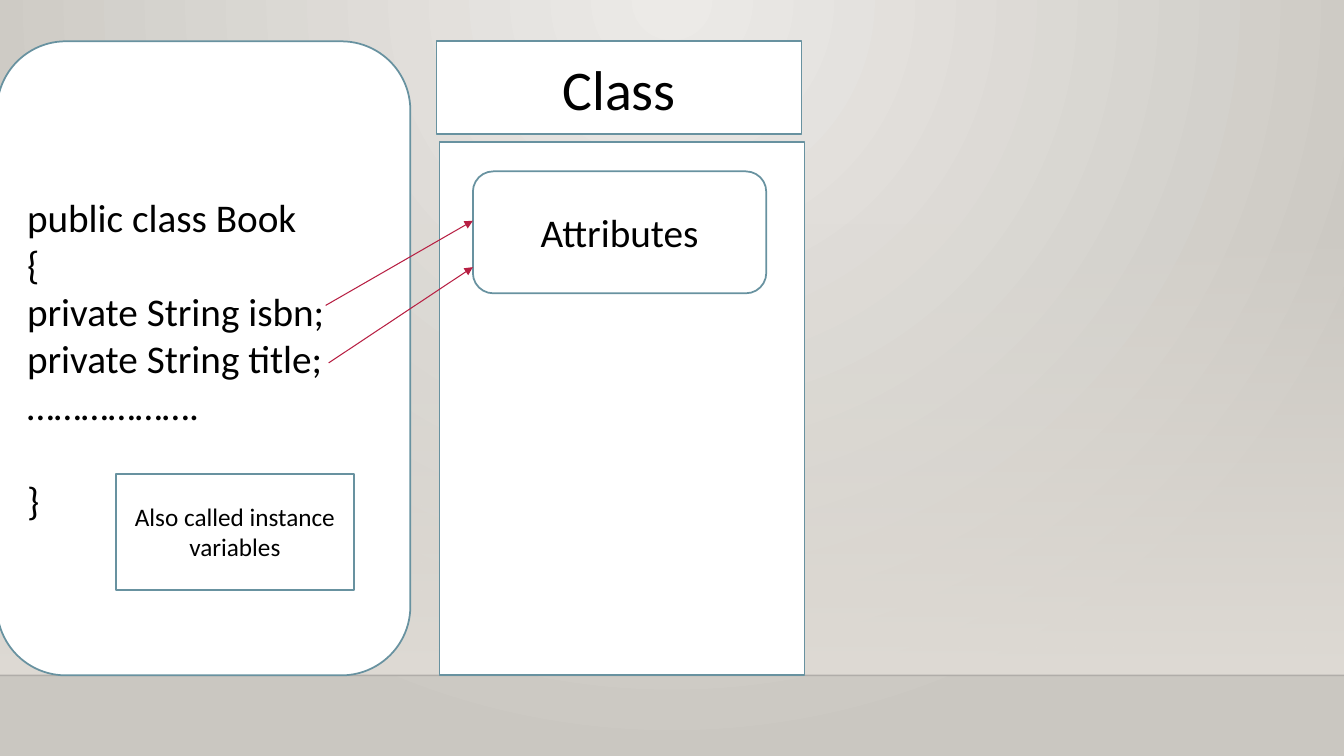
from lxml import etree
from pptx import Presentation
from pptx.dml.color import RGBColor
from pptx.enum.shapes import MSO_CONNECTOR, MSO_SHAPE
from pptx.enum.text import MSO_ANCHOR, PP_ALIGN
from pptx.oxml import parse_xml
from pptx.oxml.ns import nsdecls, qn
from pptx.util import Inches, Pt

RECT, ROUND = MSO_SHAPE.RECTANGLE, MSO_SHAPE.ROUNDED_RECTANGLE
STRAIGHT = MSO_CONNECTOR.STRAIGHT
LEFT, CENTER = PP_ALIGN.LEFT, PP_ALIGN.CENTER
MIDDLE = MSO_ANCHOR.MIDDLE
FONT = "Calibri"
WIDTH, HEIGHT, FLOOR = 13.33, 7.5, 6.7
COLORS = {
    "glow": "ECEAE7", "edge": "CAC7C1", "wall": "DFDBD5", "floor_line": "000001",
    "box": "FFFFFF", "outline": "6892A0", "text": "000000", "arrow": "B71E42",
}


def rgb(name):
    """Return a palette colour."""
    return RGBColor.from_string(COLORS[name])


def set_gradient(fill, start, end, shade, start_alpha=100):
    """Give a fill two stops and the shade element that directs them."""
    fill.gradient()
    fill.gradient_stops[0].color.rgb = rgb(start)
    fill.gradient_stops[1].color.rgb = rgb(end)
    for stop, position in zip(fill.gradient_stops, (0, 1)):
        stop.position = position
    grad = fill._fill._gradFill
    set_alpha(grad.find(".//" + qn("a:srgbClr")), start_alpha)
    grad.replace(grad.find(qn("a:lin")), parse_xml(shade))


def set_alpha(color, percent):
    """Set the opacity of a colour element."""
    etree.SubElement(color, qn("a:alpha")).set("val", str(percent * 1000))


def add_line(s, start, end, color, width):
    """Add a straight line without a shadow and return it."""
    line = s.shapes.add_connector(STRAIGHT, *map(Inches, start + end))
    line.line.color.rgb = rgb(color)
    line.line.width = Pt(width)
    etree.SubElement(line._element.spPr, qn("a:effectLst"))
    return line


def add_arrow(s, start, end):
    """Add a thin arrow from a code line to its class part."""
    ln = add_line(s, start, end, "arrow", 0.75).line._get_or_add_ln()
    etree.SubElement(ln, qn("a:tailEnd")).set("type", "triangle")


def add_box(s, kind, box, lines=(), size=28, align=CENTER):
    """Add a white outlined box with optional text lines."""
    sp = s.shapes.add_shape(kind, *map(Inches, box))
    sp.shadow.inherit = False
    sp.fill.solid()
    sp.fill.fore_color.rgb = rgb("box")
    sp.line.color.rgb = rgb("outline")
    sp.line.width = Pt(1.25)
    tf = sp.text_frame
    tf.word_wrap = True
    tf.vertical_anchor = MIDDLE
    for i, text in enumerate(lines):
        p = tf.add_paragraph() if i else tf.paragraphs[0]
        p.alignment = align
        r = p.add_run()
        r.text = text
        r.font.name, r.font.size = FONT, Pt(size)
        r.font.color.rgb = rgb("text")
    return sp


def add_room(s, box):
    """Draw the backdrop: a glow, a wall fading in, and the floor line."""
    x, y, w, h = box
    set_gradient(s.background.fill, "glow", "edge",
                 f'<a:path {nsdecls("a")} path="circle"><a:fillToRect l="43000" '
                 'r="43000" b="100000"/></a:path>')
    wall = s.shapes.add_shape(RECT, *map(Inches, box))
    wall.shadow.inherit = False
    wall.line.fill.background()
    set_gradient(wall.fill, "wall", "wall",
                 f'<a:lin {nsdecls("a")} ang="5400000" scaled="0"/>', 0)
    line = add_line(s, (x, y + h), (x + w, y + h), "floor_line", 1)
    set_alpha(line.line._get_or_add_ln().find(".//" + qn("a:srgbClr")), 20)


def add_class_panel(s, box):
    """Draw the class title, its body and the attributes part."""
    x, y, w, h = box
    body_top = y + 1
    add_box(s, RECT, (x + 0.03, body_top, w, h - 1))
    add_box(s, RECT, (x, y, w, 0.92), ["Class"], 40)
    add_box(s, ROUND, (x + 0.36, body_top + 0.29, 2.91, 1.21), ["Attributes"])


def add_code_panel(s, box):
    """Draw the code card, its arrows and the note on instance variables."""
    x, y, w, h = box
    code = ["public class Book", "{", "private String isbn;",
            "private String title;", "………………."
            .replace("………………", "…" * 6), "}"]
    card = add_box(s, ROUND, box, code, align=LEFT)
    card.text_frame.paragraphs[-1].space_before = Pt(34)
    target = x + w + 0.62
    add_arrow(s, (x + 3.26, y + 2.62), (target, y + 1.78))
    add_arrow(s, (x + 3.29, y + 3.19), (target, y + 2.24))
    add_box(s, RECT, (x + 1.18, y + 4.29, 2.36, 1.15),
            ["Also called instance variables"], 18)


prs = Presentation()
prs.slide_width, prs.slide_height = Inches(WIDTH), Inches(HEIGHT)
s = prs.slides.add_slide(prs.slide_layouts[6])
top = 0.41
add_room(s, (0, 2.21, WIDTH, FLOOR - 2.21))
add_class_panel(s, (4.33, top, 3.62, FLOOR - top))
add_code_panel(s, (-0.03, top, 4.1, FLOOR - top))
prs.save("out.pptx")
